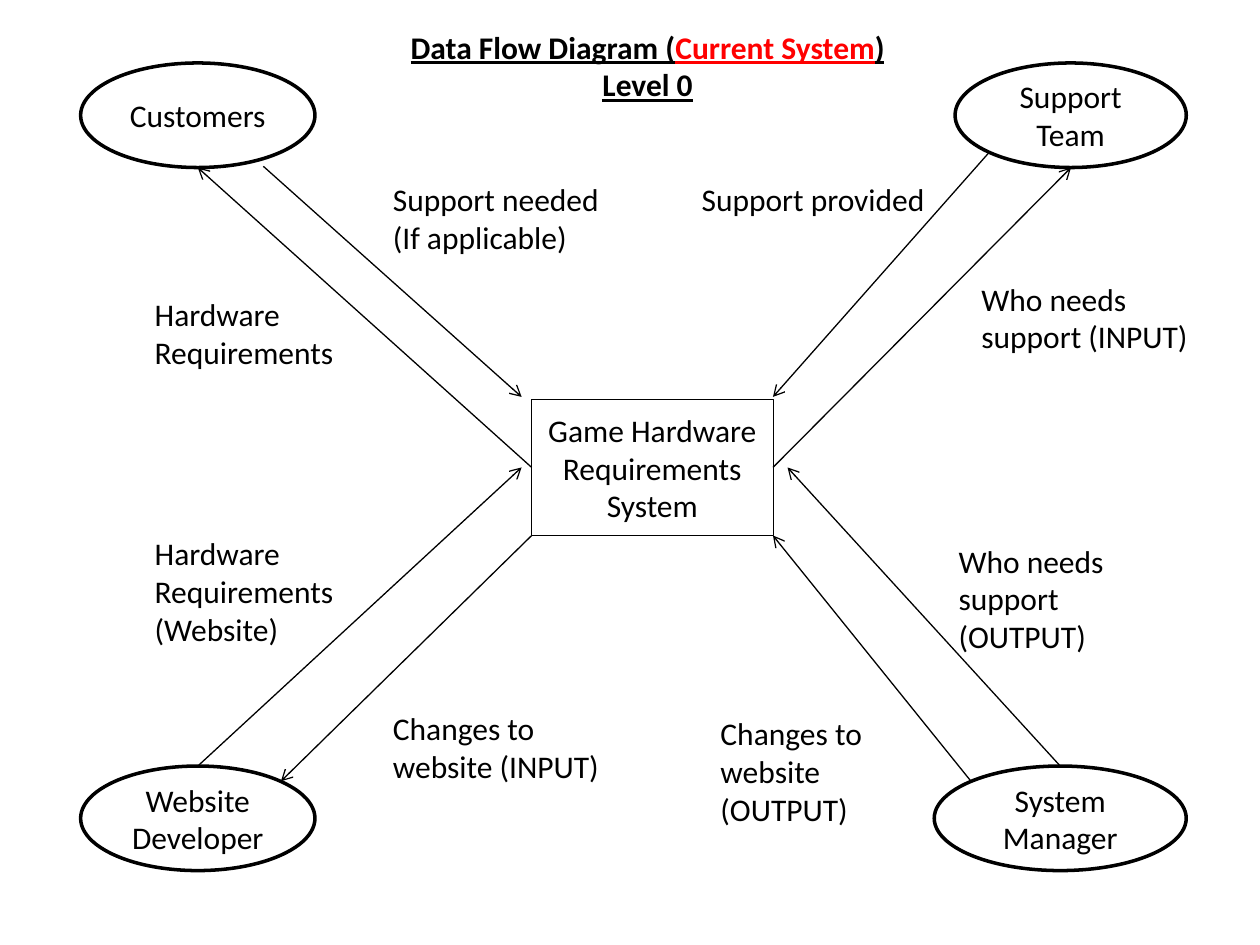
from lxml.etree import SubElement
from pptx import Presentation
from pptx.dml.color import RGBColor
from pptx.enum.shapes import MSO_CONNECTOR, MSO_SHAPE
from pptx.enum.text import MSO_ANCHOR, MSO_AUTO_SIZE, PP_ALIGN
from pptx.oxml.ns import qn
from pptx.util import Inches, Pt

COLORS = {"ink": "000000", "paper": "FFFFFF", "accent": "FF0000"}
COLUMNS, ROWS = 40, 30
SLIDE_WIDTH, SLIDE_HEIGHT = Inches(10), Inches(7.5)

BODY = {"name": "Calibri", "size": Pt(18)}
HEADING = {**BODY, "bold": True, "underline": True}

# Edges of the central process and of the outer entities, in columns and rows
LEFT, TOP, RIGHT, MIDDLE, BOTTOM = 16.88, 12.68, 24.54, 14.84, 17
UPPER, LOWER, ENTITY_HEIGHT = 2, 24.32, 3.32
UPPER_FOOT = UPPER + ENTITY_HEIGHT
LABEL_WIDTH = 8.16

# name, column, row, width
ENTITIES = [
    ("Customers", 2.56, UPPER, 7.44),
    ("Support Team", 30.32, UPPER, 7.34),
    ("Website Developer", 2.56, LOWER, 7.44),
    ("System Manager", 29.66, LOWER, 8),
]

# start column and row, end column and row
FLOWS = [
    (8.36, 5.28, 16.56, 12.6),
    (LEFT, MIDDLE, 6.28, UPPER_FOOT),
    (31.4, 4.84, RIGHT, 12.6),
    (RIGHT, MIDDLE, 34, UPPER_FOOT),
    (6.28, LOWER, 16.56, MIDDLE),
    (LEFT, BOTTOM, 8.92, 24.8),
    (33.66, LOWER, 25, MIDDLE),
    (30.84, 24.82, RIGHT, BOTTOM),
]

# text, column, row, number of lines
LABELS = [
    ("Support needed (If applicable)", 12.08, 5.52, 2),
    ("Support provided", 21.88, 5.52, 1),
    ("Hardware Requirements", 4.52, 9.16, 2),
    ("Who needs support (INPUT)", 30.76, 8.68, 2),
    ("Hardware Requirements (Website)", 4.52, 16.76, 3),
    ("Who needs support (OUTPUT)", 30.04, 17, 3),
    ("Changes to website (INPUT)", 12.08, 22.32, 2),
    ("Changes to website (OUTPUT)", 22.48, 22.48, 3),
]


def color(name):
    """Return the named colour."""
    return RGBColor.from_string(COLORS[name])


def across(columns):
    """Turn grid columns into a length."""
    return round(SLIDE_WIDTH * columns / COLUMNS)


def down(rows):
    """Turn grid rows into a length."""
    return round(SLIDE_HEIGHT * rows / ROWS)


def apply_format(target, values):
    """Set every attribute listed in a dict of format values."""
    for name, value in values.items():
        setattr(target, name, value)


def write(box, spans, font=BODY, align=PP_ALIGN.LEFT, **frame_format):
    """Fill a box with one paragraph of (text, colour name) spans."""
    apply_format(box.text_frame, {"word_wrap": True, **frame_format})
    para = box.text_frame.paragraphs[0]
    para.alignment = align
    for text, ink in spans:
        span = para.add_run()
        span.text = text
        apply_format(span.font, font)
        span.font.color.rgb = color(ink)


def add_node(page, kind, text, column, row, width, height, weight):
    """Add an outlined shape with centred text."""
    box = page.shapes.add_shape(
        kind, across(column), down(row), across(width), down(height))
    box.shadow.inherit = False
    box.fill.solid()
    box.fill.fore_color.rgb = color("paper")
    box.line.color.rgb = color("ink")
    box.line.width = Pt(weight)
    write(box, [(text, "ink")], align=PP_ALIGN.CENTER,
          vertical_anchor=MSO_ANCHOR.MIDDLE)


def add_flow(page, start_column, start_row, end_column, end_row):
    """Add a thin line with an open arrowhead at its end."""
    flow = page.shapes.add_connector(
        MSO_CONNECTOR.STRAIGHT, across(start_column), down(start_row),
        across(end_column), down(end_row))
    flow.line.color.rgb = color("ink")
    flow.line.width = Pt(0.75)
    SubElement(flow.line._get_or_add_ln(), qn("a:tailEnd"), type="arrow")
    SubElement(flow._element.spPr, qn("a:effectLst"))


def add_text(page, spans, column, row, width, lines, **style):
    """Add a text box as tall as its number of lines."""
    box = page.shapes.add_textbox(
        across(column), down(row), across(width), down(0.4 + 1.22 * lines))
    write(box, spans, auto_size=MSO_AUTO_SIZE.SHAPE_TO_FIT_TEXT, **style)


def main():
    """Build the data flow diagram and save it."""
    deck = Presentation()
    apply_format(deck, {"slide_width": SLIDE_WIDTH,
                        "slide_height": SLIDE_HEIGHT})
    page = deck.slides.add_slide(deck.slide_layouts[6])

    add_node(page, MSO_SHAPE.RECTANGLE, "Game Hardware Requirements System",
             LEFT, TOP, RIGHT - LEFT, BOTTOM - TOP, 0.25)
    for name, column, row, width in ENTITIES:
        add_node(page, MSO_SHAPE.OVAL, name, column, row, width,
                 ENTITY_HEIGHT, 2)
    for flow in FLOWS:
        add_flow(page, *flow)
    for text, column, row, lines in LABELS:
        add_text(page, [(text, "ink")], column, row, LABEL_WIDTH, lines)

    title = [("Data Flow Diagram (", "ink"), ("Current System", "accent"),
             (") Level 0", "ink")]
    add_text(page, title, 12.08, 0.68, 16.96, 2,
             font=HEADING, align=PP_ALIGN.CENTER)
    deck.save("out.pptx")


main()
